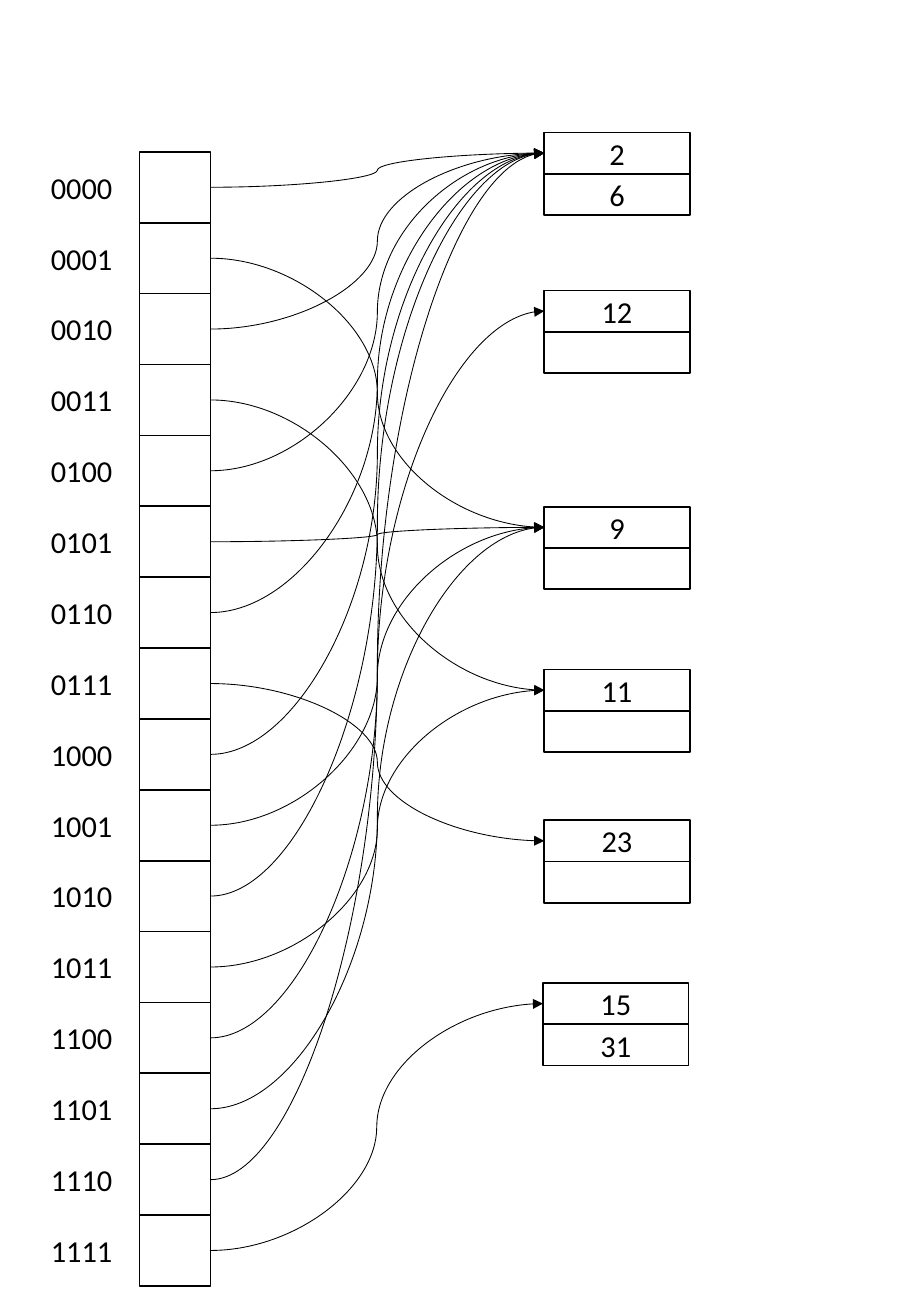
from lxml import etree
from pptx import Presentation
from pptx.dml.color import RGBColor
from pptx.enum.shapes import MSO_CONNECTOR, MSO_SHAPE
from pptx.enum.text import MSO_ANCHOR, MSO_AUTO_SIZE, PP_ALIGN
from pptx.oxml.ns import qn
from pptx.util import Inches, Pt

RECT = MSO_SHAPE.RECTANGLE
CURVE = MSO_CONNECTOR.CURVE
MIDDLE = MSO_ANCHOR.MIDDLE
GROW = MSO_AUTO_SIZE.SHAPE_TO_FIT_TEXT
LEFT, CENTER = PP_ALIGN.LEFT, PP_ALIGN.CENTER
BLACK = RGBColor(0, 0, 0)
LEFT_SIDE, RIGHT_SIDE = 1, 3

DIRECTORY_LEFT, DIRECTORY_TOP = 1.15, 1.25
CELL = 8.75 / 15
BUCKETS = {
    "a": (4.48, 1.09, ["2", "6"]),
    "b": (4.48, 2.39, ["12", ""]),
    "c": (4.48, 4.17, ["9", ""]),
    "d": (4.48, 5.51, ["11", ""]),
    "e": (4.48, 6.75, ["23", ""]),
    "f": (4.47, 8.09, ["15", "31"]),
}
BUCKET_WIDTH, SLOT_HEIGHT = 1.2, 0.34
POINTERS = "acadacaeacadbcaf"


def set_text(shape, text, align):
    p = shape.text_frame.paragraphs[0]
    p.alignment = align
    r = p.add_run()
    r.text = text
    for name, value in {"name": "Calibri", "size": Pt(18)}.items():
        setattr(r.font, name, value)
    r.font.color.rgb = BLACK


def add_box(shapes, left, top, width, height, text=""):
    s = shapes.add_shape(RECT, Inches(left), Inches(top), Inches(width), Inches(height))
    s.shadow.inherit = False
    s.fill.background()
    s.line.color.rgb = BLACK
    s.line.width = Pt(1)
    s.text_frame.vertical_anchor = MIDDLE
    if text:
        set_text(s, text, CENTER)
    return s


def add_label(slide, left, top, width, height, text):
    s = slide.shapes.add_textbox(Inches(left), Inches(top), Inches(width), Inches(height))
    s.text_frame.word_wrap = True
    s.text_frame.auto_size = GROW
    set_text(s, text, LEFT)


def add_directory(slide, left, top, size):
    cells = []
    for i in range(len(POINTERS)):
        y = top + i * size
        cells.append(add_box(slide.shapes, left, y, size, size))
        add_label(slide, left - 0.83, y + 0.09, 0.74, 0.4, f"{i:04b}")
    return cells


def add_bucket(slide, left, top, width, slot_height, values):
    shapes = slide.shapes.add_group_shape().shapes
    slots = [add_box(shapes, left, top + i * slot_height, width, slot_height, value)
             for i, value in enumerate(values)]
    return slots[0]


def add_pointer(slide, cell, slot):
    c = slide.shapes.add_connector(CURVE, 0, 0, 0, 0)
    c.begin_connect(cell, RIGHT_SIDE)
    c.end_connect(slot, LEFT_SIDE)
    c.line.color.rgb = BLACK
    c.line.width = Pt(0.5)
    etree.SubElement(c.line._get_or_add_ln(), qn("a:tailEnd"), type="triangle")
    etree.SubElement(c._element.spPr, qn("a:effectLst"))


def main():
    prs = Presentation()
    prs.slide_width, prs.slide_height = Inches(7.5), Inches(10.83)
    slide = prs.slides.add_slide(prs.slide_layouts[6])
    cells = add_directory(slide, DIRECTORY_LEFT, DIRECTORY_TOP, CELL)
    slots = {key: add_bucket(slide, left, top, BUCKET_WIDTH, SLOT_HEIGHT, values)
             for key, (left, top, values) in BUCKETS.items()}
    for cell, key in zip(cells, POINTERS):
        add_pointer(slide, cell, slots[key])
    prs.save("out.pptx")


if __name__ == "__main__":
    main()
